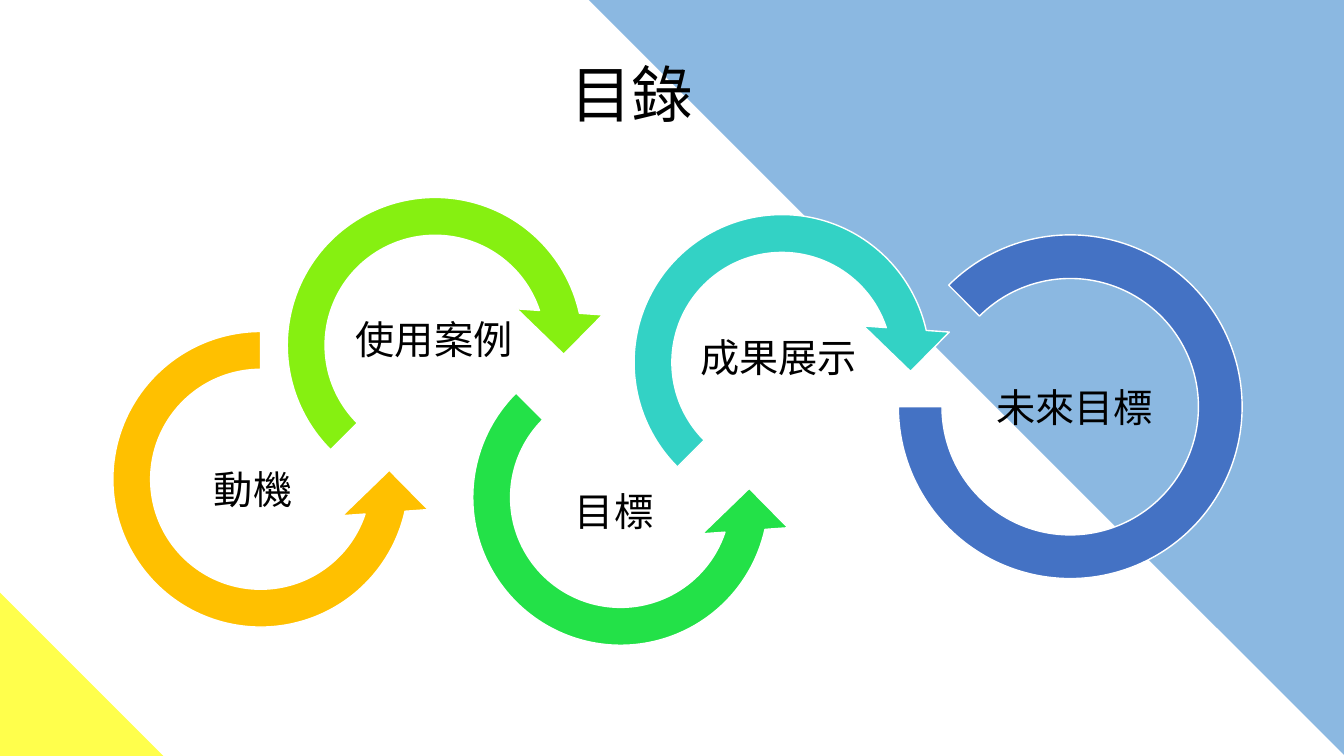
from lxml import etree
from pptx import Presentation
from pptx.dml.color import RGBColor
from pptx.enum.shapes import MSO_SHAPE as Preset
from pptx.enum.text import MSO_ANCHOR as Anchor, PP_ALIGN as Align
from pptx.oxml.ns import qn
from pptx.util import Inches, Pt

BLACK = RGBColor(0x00, 0x00, 0x00)
WHITE = RGBColor(0xFF, 0xFF, 0xFF)
YELLOW = RGBColor(0xFF, 0xFF, 0x00)
SKY = RGBColor(0x5B, 0x9B, 0xD5)
ORANGE = RGBColor(0xFF, 0xC0, 0x00)
LIME = RGBColor(0x86, 0xF0, 0x11)
GREEN = RGBColor(0x23, 0xE1, 0x48)
TEAL = RGBColor(0x33, 0xD2, 0xC5)
BLUE = RGBColor(0x44, 0x72, 0xC4)

FONT = "Times New Roman"
RING_SIZE = 3.41
LABEL_HEIGHT = 0.51
# Angles are in units of 100000/60000 degrees, as adjustments expect.
LOWER_ARROW = (Preset.CIRCULAR_ARROW, (0.11, 11.42, 45, 108, 0.125))
LOWER_ARROW_SHORT = (Preset.CIRCULAR_ARROW, (0.11, 11.42, 45, 135, 0.125))
UPPER_ARROW = (Preset.LEFT_CIRCULAR_ARROW, (0.11, 11.42, 63, 189, 0.125))
OPEN_RING = (Preset.BLOCK_ARC, (135, 108, 0.127))

# outline, left, top, colour, label, label left, label top, label width
STEPS = [
    (LOWER_ARROW, 0.88, 3.05, ORANGE, "動機", 2, 4.62, 1.02),
    (UPPER_ARROW, 2.61, 1.72, LIME, "使用案例", 3.5, 3.14, 1.61),
    (LOWER_ARROW_SHORT, 4.45, 3.23, GREEN, "目標", 5.58, 4.84, 1.02),
    (UPPER_ARROW, 6.05, 1.89, TEAL, "成果展示", 6.88, 3.31, 1.68),
    (OPEN_RING, 8.91, 2.33, BLUE, "未來目標", 9.57, 3.81, 2.18),
]


def add_square_shape(page, preset, left, top, size, color):
    shape = page.shapes.add_shape(
        preset, Inches(left), Inches(top), Inches(size), Inches(size))
    shape.shadow.inherit = False
    shape.fill.solid()
    shape.fill.fore_color.rgb = color
    return shape


def flip_and_turn(shape, angle):
    shape.element.spPr.get_or_add_xfrm().set("flipH", "1")
    shape.rotation = angle


def add_corner(page, left, top, size, color, angle):
    """Add a translucent right triangle that fills a slide corner."""
    corner = add_square_shape(page, Preset.RIGHT_TRIANGLE, left, top, size, color)
    corner.line.fill.background()
    flip_and_turn(corner, angle)
    fill_color = corner.element.spPr.find(".//" + qn("a:srgbClr"))
    etree.SubElement(fill_color, qn("a:alpha"), val="70000")


def add_ring(page, outline, left, top, color):
    preset, adjustments = outline
    ring = add_square_shape(page, preset, left, top, RING_SIZE, color)
    for index, value in enumerate(adjustments):
        ring.adjustments[index] = value
    ring.line.color.rgb = WHITE
    ring.line.width = Pt(1)
    if preset != Preset.BLOCK_ARC:
        flip_and_turn(ring, 270)


def write_centered(frame, text, size):
    frame.word_wrap = True
    frame.vertical_anchor = Anchor.MIDDLE
    para = frame.paragraphs[0]
    para.text = text
    para.alignment = Align.CENTER
    para.line_spacing = 0.9
    para.font.name = FONT
    para.font.size = Pt(size)
    para.font.color.rgb = BLACK


def add_label(page, text, left, top, width):
    frame = page.shapes.add_textbox(
        Inches(left), Inches(top), Inches(width), Inches(LABEL_HEIGHT)).text_frame
    frame.margin_left = frame.margin_right = Inches(0.02)
    frame.margin_top = frame.margin_bottom = Inches(0.02)
    write_centered(frame, text, 28)


def place_title(page, text):
    """Fill the title placeholder and bring it in front of the corners."""
    title = page.shapes.title
    title.left, title.top = Inches(2.04), Inches(0.41)
    title.width, title.height = Inches(8.45), Inches(1.11)
    write_centered(title.text_frame, text, 44)
    title.element.getparent().append(title.element)


def main():
    deck = Presentation()
    deck.slide_width, deck.slide_height = Inches(13.33), Inches(7.5)
    page = deck.slides.add_slide(deck.slide_layouts.get_by_name("Title Only"))
    add_corner(page, 0, 5.88, 1.62, YELLOW, 90)
    add_corner(page, 5.84, 0, 7.49, SKY, 270)
    place_title(page, "目錄")
    for outline, left, top, color, text, text_left, text_top, width in STEPS:
        add_ring(page, outline, left, top, color)
        add_label(page, text, text_left, text_top, width)
    deck.save("out.pptx")


if __name__ == "__main__":
    main()
